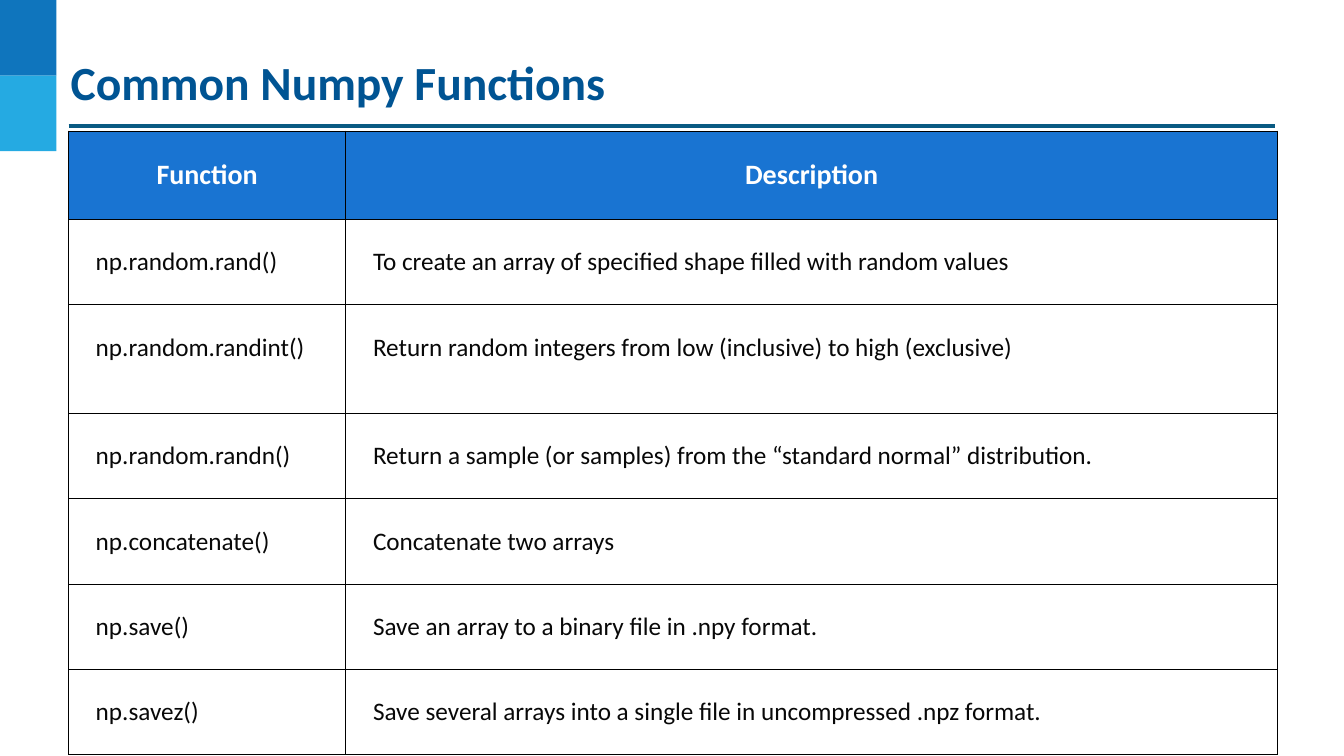
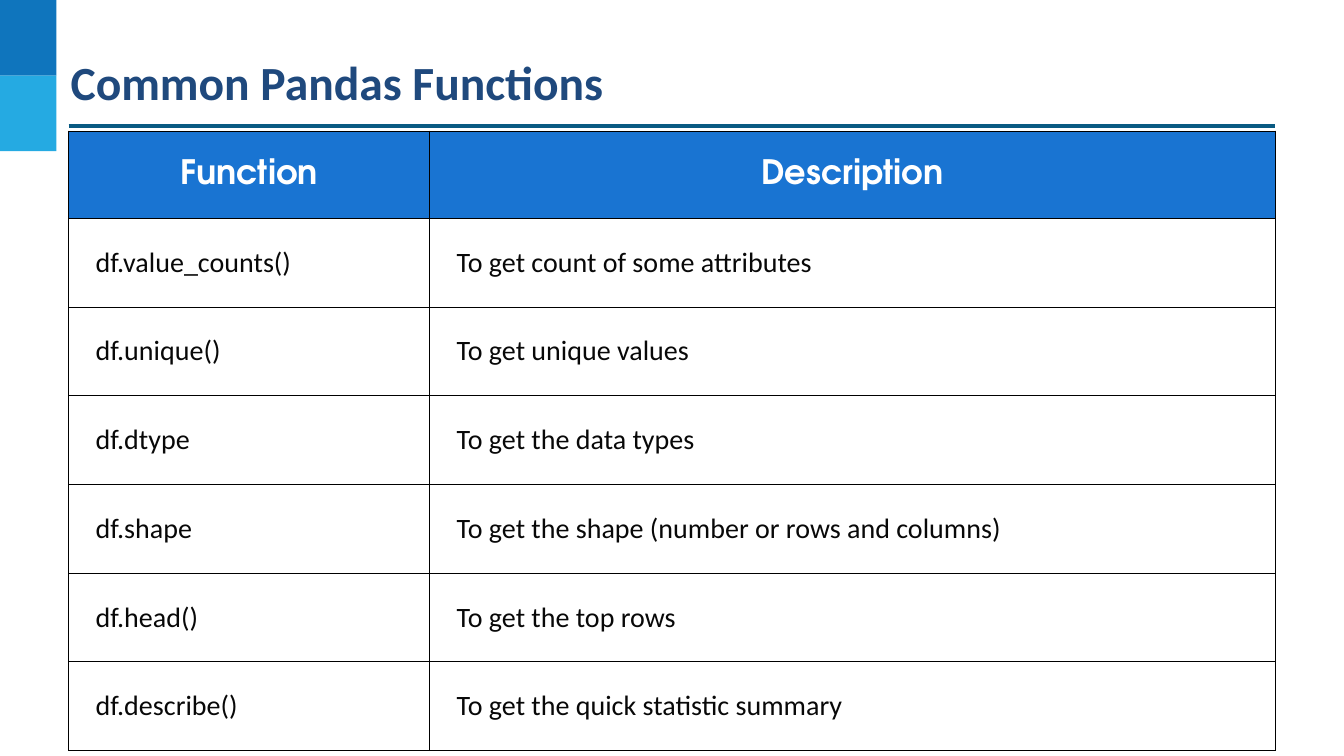
from dataclasses import dataclass

from pptx import Presentation
from pptx import util as u
from pptx.dml import color
from pptx.enum import shapes, text
from pptx.oxml import ns, xmlchemy


@dataclass(frozen=True)
class Theme:
    """Colours, fonts and type sizes of the deck."""
    dark_band: str = "0F75BD"
    light_band: str = "25AAE2"
    rule: str = "095A82"
    header_fill: str = "1974D2"
    header_text: str = "FFFFFF"
    body_text: str = "080808"
    border: str = "000000"
    font: str = "Calibri"
    title_size: float = 34
    rule_width: float = 2.25
    border_width: float = 0.75
    cell_inset: float = 0.27


@dataclass(frozen=True)
class TextStyle:
    """Look of one kind of text."""
    size: float
    color: str
    bold: bool = False
    font: str = Theme.font
    align: text.PP_ALIGN = text.PP_ALIGN.LEFT
    leading: float | None = None


THEME = Theme()
HEADINGS = ("Function", "Description")
NUMPY_ROWS = [
    ("np.random.rand()", "To create an array of specified shape filled with random values"),
    ("np.random.randint()", "Return random integers from low (inclusive) to high (exclusive)"),
    ("np.random.randn()", "Return a sample (or samples) from the “standard normal” distribution."),
    ("np.concatenate()", "Concatenate two arrays"),
    ("np.save()", "Save an array to a binary file in .npy format."),
    ("np.savez()", "Save several arrays into a single file in uncompressed .npz format."),
]
PANDAS_ROWS = [
    ("df.value_counts()", "To get count of some attributes"),
    ("df.unique()", "To get unique values"),
    ("df.dtype", "To get the data types"),
    ("df.shape", "To get the shape (number or rows and columns)"),
    ("df.head()", "To get the top rows"),
    ("df.describe()", "To get the quick statistic summary"),
]


def rgb(value):
    """Return a colour from its hex digits."""
    return color.RGBColor.from_string(value)


def write(tf, words, style):
    """Write one styled run into the first paragraph of a text frame."""
    p = tf.paragraphs[0]
    p.alignment = style.align
    if style.leading:
        p.line_spacing = u.Pt(style.leading)
    r = p.add_run()
    r.text = words
    r.font.name = style.font
    r.font.size = u.Pt(style.size)
    r.font.bold = style.bold
    r.font.color.rgb = rgb(style.color)


def set_insets(target, inset):
    """Give a cell or text frame the same margin on all sides."""
    for side in ("left", "top", "right", "bottom"):
        setattr(target, f"margin_{side}", u.Inches(inset))


def add_bands(s, left, top, width, height):
    """Stack the two coloured bands inside the given box."""
    fills = (THEME.dark_band, THEME.light_band)
    step = height / len(fills)
    for i, fill in enumerate(fills):
        sp = s.shapes.add_shape(
            shapes.MSO_SHAPE.RECTANGLE, u.Inches(left), u.Inches(top + i * step),
            u.Inches(width), u.Inches(step))
        sp.shadow.inherit = False
        sp.fill.solid()
        sp.fill.fore_color.rgb = rgb(fill)
        sp.line.fill.background()


def add_title(s, words, title_color, left, top, width, height):
    """Place the title in its box, with the rule below it."""
    sp = s.shapes.title
    sp.left, sp.top, sp.width, sp.height = map(u.Inches, (left, top, width, height))
    tf = sp.text_frame
    tf.word_wrap = True
    tf.auto_size = text.MSO_AUTO_SIZE.NONE
    tf.vertical_anchor = text.MSO_ANCHOR.TOP
    set_insets(tf, 0.02)
    write(tf, words, TextStyle(THEME.title_size, title_color, bold=True))
    y = u.Inches(top + 0.75)
    rule = s.shapes.add_connector(
        shapes.MSO_CONNECTOR.STRAIGHT, u.Inches(left), y, u.Inches(left + width), y)
    rule.line.color.rgb = rgb(THEME.rule)
    rule.line.width = u.Pt(THEME.rule_width)
    xmlchemy.OxmlElement("a:effectLst")
    rule._element.spPr.append(xmlchemy.OxmlElement("a:effectLst"))


def add_borders(cell):
    """Draw a thin line on each side of a cell."""
    tc_pr = cell._tc.get_or_add_tcPr()
    for side in "LRTB":
        ln = xmlchemy.OxmlElement(f"a:ln{side}")
        ln.set("w", str(u.Pt(THEME.border_width)))
        fill = xmlchemy.OxmlElement("a:solidFill")
        clr = fill.makeelement(ns.qn("a:srgbClr"), {"val": THEME.border})
        fill.append(clr)
        ln.append(fill)
        tc_pr.append(ln)


def add_function_table(s, rows, left, top, widths, heights, header, body):
    """Build the table of functions from its top left corner."""
    frame = s.shapes.add_table(
        len(heights), len(widths), u.Inches(left), u.Inches(top),
        u.Inches(sum(widths)), u.Inches(sum(heights)))
    table = frame.table
    table.horz_banding = False
    for column, width in zip(table.columns, widths):
        column.width = u.Inches(width)
    for i, (height, words) in enumerate(zip(heights, [HEADINGS, *rows])):
        table.rows[i].height = u.Inches(height)
        for j, entry in enumerate(words):
            cell = table.cell(i, j)
            set_insets(cell, THEME.cell_inset)
            add_borders(cell)
            if i == 0:
                cell.fill.solid()
                cell.fill.fore_color.rgb = rgb(THEME.header_fill)
            else:
                cell.fill.background()
            write(cell.text_frame, entry, body if i else header)


def add_function_slide(prs, title, title_color, rows, widths, heights, header, body):
    """Add one slide with bands, title, rule and function table."""
    s = prs.slides.add_slide(prs.slide_layouts[5])
    add_bands(s, 0, 0, 0.56, 1.5)
    add_title(s, title, title_color, 0.68, 0.5, 11.97, 0.54)
    add_function_table(s, rows, 0.68, 1.3, widths, heights, header, body)


def main():
    """Build and save the deck."""
    prs = Presentation()
    prs.slide_width, prs.slide_height = u.Inches(13.33), u.Inches(7.5)
    center = text.PP_ALIGN.CENTER
    add_function_slide(
        prs, "Common Numpy Functions", "005493", NUMPY_ROWS,
        (2.75, 9.24), (0.87, 0.84, 1.08, *[0.84] * 4),
        TextStyle(20, THEME.header_text, bold=True, align=center),
        TextStyle(18, THEME.body_text))
    add_function_slide(
        prs, "Common Pandas Functions", "1F497D", PANDAS_ROWS,
        (3.58, 8.39), (0.86, *[0.87] * 6),
        TextStyle(24, THEME.header_text, bold=True, font="TeX Gyre Adventor",
                  align=center, leading=23.5),
        TextStyle(20, THEME.body_text))
    prs.save("out.pptx")


if __name__ == "__main__":
    main()
